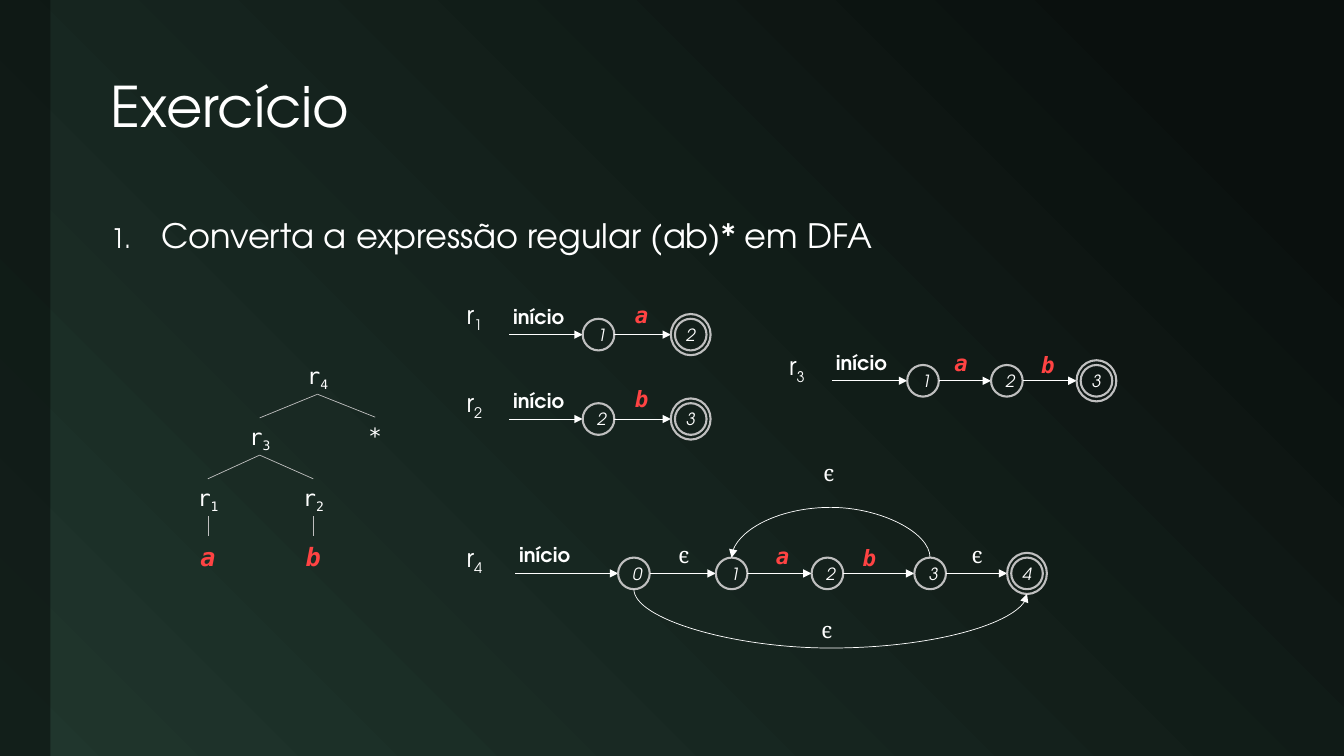
from lxml import etree
from pptx import Presentation
from pptx.dml.color import RGBColor
from pptx.enum.shapes import MSO_CONNECTOR, MSO_SHAPE
from pptx.enum.text import MSO_ANCHOR, MSO_AUTO_SIZE, PP_ALIGN
from pptx.oxml.ns import qn
from pptx.util import Pt

STRAIGHT, CURVE = MSO_CONNECTOR.STRAIGHT, MSO_CONNECTOR.CURVE
RECTANGLE, OVAL = MSO_SHAPE.RECTANGLE, MSO_SHAPE.OVAL
MIDDLE, CENTER = MSO_ANCHOR.MIDDLE, PP_ALIGN.CENTER
FIT_TEXT = MSO_AUTO_SIZE.SHAPE_TO_FIT_TEXT
SANS, MONO, SERIF = "TeX Gyre Adventor", "DejaVu Sans Mono", "Cambria"
WHITE, GRAY, RED, DARK, GREEN = "FFFFFF", "BFBFBF", "FF4343", "0A100E", "20362D"
RADIUS = 11.3
FINAL_WIDTH, FINAL_HEIGHT = 28.4, 29.4
TOP, BOTTOM = 0, 2


def color(hex_code):
    return RGBColor.from_string(hex_code)


def add_run(paragraph, text, size, font=SANS, ink=WHITE, bold=False, italic=False):
    run = paragraph.add_run()
    run.text = text
    run.font.size, run.font.name = Pt(size), font
    run.font.bold, run.font.italic = bold, italic
    run.font.color.rgb = color(ink)
    return run


def add_box(slide, left, top, width, height, wrap=True):
    box = slide.shapes.add_textbox(Pt(left), Pt(top), Pt(width), Pt(height))
    box.text_frame.word_wrap = wrap
    return box


def add_label(slide, text, left, top, width, height, size, subscript="", centered=False, **style):
    label = add_box(slide, left, top, width, height, wrap=centered)
    label.text_frame.auto_size = FIT_TEXT
    paragraph = label.text_frame.paragraphs[0]
    if centered:
        paragraph.alignment = CENTER
    add_run(paragraph, text, size, **style)
    if subscript:
        index = add_run(paragraph, subscript, size, **style)
        index.font._element.set("baseline", "-25000")
    return label


def add_symbol(slide, text, left, top):
    if text == "ϵ":
        style = {"font": SERIF}
    else:
        style = {"font": MONO, "ink": RED, "bold": True, "italic": True}
    add_label(slide, text, left, top, 22.7, 26.6, 16, **style)


def finish_line(connector, ink, arrow):
    connector.line.color.rgb = color(ink)
    connector.line.width = Pt(0.5)
    properties = connector._element.spPr
    if arrow:
        etree.SubElement(properties.find(qn("a:ln")), qn("a:tailEnd"), type="triangle")
    etree.SubElement(properties, qn("a:effectLst"))


def add_arrow(slide, start_x, end_x, y):
    arrow = slide.shapes.add_connector(STRAIGHT, Pt(start_x), Pt(y), Pt(end_x), Pt(y))
    finish_line(arrow, WHITE, arrow=True)


def add_arc(slide, start_x, start_y, end_x, end_y, drop):
    rise, span = max(end_y - start_y, 0.09), abs(end_x - start_x)
    left = (start_x + end_x - rise) / 2
    top = (start_y + end_y - span) / 2
    arc = slide.shapes.add_connector(CURVE, Pt(left), Pt(top), Pt(left + rise), Pt(top + span))
    frame = arc._element.spPr.find(qn("a:xfrm"))
    frame.set("rot", "16200000")
    frame.set("flipH", "1")
    if end_x < start_x:
        frame.set("flipV", "1")
    geometry = arc._element.spPr.find(qn("a:prstGeom"))
    adjustments = geometry.find(qn("a:avLst"))
    if adjustments is None:
        adjustments = etree.SubElement(geometry, qn("a:avLst"))
    bend = round(drop / rise * 100000)
    etree.SubElement(adjustments, qn("a:gd"), name="adj1", fmla=f"val {bend}")
    finish_line(arc, WHITE, arrow=True)


def add_ring(slide, center_x, center_y, width, height):
    ring = slide.shapes.add_shape(
        OVAL, Pt(center_x - width / 2), Pt(center_y - height / 2), Pt(width), Pt(height))
    ring.shadow.inherit = False
    ring.fill.background()
    ring.line.color.rgb = color(GRAY)
    ring.line.width = Pt(1.5)
    return ring


def add_state(slide, number, x, y, final):
    if final:
        add_ring(slide, x, y, FINAL_WIDTH, FINAL_HEIGHT)
    state = add_ring(slide, x, y, 2 * RADIUS, 2 * RADIUS)
    frame = state.text_frame
    frame.vertical_anchor = MIDDLE
    if final:
        frame.margin_left = frame.margin_right = frame.margin_top = frame.margin_bottom = 0
    frame.paragraphs[0].alignment = CENTER
    add_run(frame.paragraphs[0], number, 12, italic=True)


def add_automaton(slide, index, name_left, name_top, start_x, axis, states, symbols):
    add_label(slide, "r", name_left, name_top, 26.6, 28.8, 18, subscript=index)
    add_label(slide, "início", start_x - 4.2, axis - 25, 51.1, 24.5, 14, bold=True)
    tail = start_x
    for number, x in states:
        final = (number, x) == states[-1]
        add_arrow(slide, tail, x - (FINAL_WIDTH / 2 if final else RADIUS), axis)
        add_state(slide, number, x, axis, final)
        tail = x + RADIUS
    for text, left, top in symbols:
        add_symbol(slide, text, left, top)


def add_node(slide, text, subscript, center_x, top):
    return add_label(slide, text, center_x - 16, top, 32, 26.6, 16,
                     subscript=subscript, centered=True, font=MONO)


def add_leaf(slide, letter, center_x, top):
    return add_label(slide, letter, center_x - 13.3, top, 26.6, 28.8, 18,
                     centered=True, font=MONO, ink=RED, bold=True, italic=True)


def add_syntax_tree(slide):
    r4 = add_node(slide, "r", "4", 226.8, 255)
    r3 = add_node(slide, "r", "3", 185.5, 298.5)
    star = add_node(slide, "*", "", 268, 298)
    r1 = add_node(slide, "r", "1", 148.5, 342)
    r2 = add_node(slide, "r", "2", 223.8, 342)
    a = add_leaf(slide, "a", 148.5, 383)
    b = add_leaf(slide, "b", 223.8, 383)
    for parent, child in ((r4, r3), (r4, star), (r3, r1), (r3, r2), (r1, a), (r2, b)):
        branch = slide.shapes.add_connector(STRAIGHT, 0, 0, 0, 0)
        branch.begin_connect(parent, BOTTOM)
        branch.end_connect(child, TOP)
        finish_line(branch, GRAY, arrow=False)


def add_backdrop(slide):
    fill = slide.background.fill
    fill.gradient()
    fill.gradient_angle = 225
    for stop, ink, position in zip(fill.gradient_stops, (DARK, GREEN), (0.1, 1)):
        stop.color.rgb = color(ink)
        stop.position = position
    sidebar = slide.shapes.add_shape(RECTANGLE, 0, 0, Pt(36), Pt(540))
    sidebar.shadow.inherit = False
    sidebar.line.fill.background()
    sidebar.fill.solid()
    sidebar.fill.fore_color.rgb = color(DARK)
    tint = sidebar._element.spPr.find(qn("a:solidFill"))[0]
    etree.SubElement(tint, qn("a:alpha"), val="60000")


def add_heading(slide):
    title = add_box(slide, 72, 30, 839, 96).text_frame
    title.vertical_anchor = MIDDLE
    title.paragraphs[0].line_spacing = 0.9
    add_run(title.paragraphs[0], "Exercício", 40)

    task = add_box(slide, 72, 144, 839, 348).text_frame.paragraphs[0]
    numbering = task._p.get_or_add_pPr()
    numbering.set("marL", str(Pt(36)))
    numbering.set("indent", str(Pt(-36)))
    etree.SubElement(numbering, qn("a:buSzPct"), val="80000")
    etree.SubElement(numbering, qn("a:buAutoNum"), type="arabicPeriod")
    task.line_spacing = 1.2
    add_run(task, "Converta a expressão regular (ab)* em DFA", 24)


def main():
    deck = Presentation()
    deck.slide_width, deck.slide_height = Pt(960), Pt(540)
    slide = deck.slides.add_slide(deck.slide_layouts[6])
    add_backdrop(slide)
    add_heading(slide)
    add_syntax_tree(slide)
    add_automaton(slide, "1", 326.2, 210.2, 363.6, 239,
                  [("1", 427.5), ("2", 493.4)], [("a", 446.4, 211.7)])
    add_automaton(slide, "2", 326.2, 272.9, 363.6, 299.3,
                  [("2", 427.5), ("3", 493.4)], [("b", 446.4, 271.4)])
    add_automaton(slide, "3", 556.6, 247, 594.2, 272,
                  [("1", 659.3), ("2", 719.2), ("3", 783.2)],
                  [("a", 674.6, 246.2), ("b", 736.6, 247)])
    axis = 409.6
    add_automaton(slide, "4", 326.2, 383.8, 367.9, axis,
                  [("0", 452.8), ("1", 522.6), ("2", 591), ("3", 664.4), ("4", 733.6)],
                  [("ϵ", 477.4, 383), ("a", 547.2, 383.8), ("b", 609.1, 385.2),
                   ("ϵ", 686.9, 383), ("ϵ", 581, 324.7), ("ϵ", 579.6, 436.3)])
    add_arc(slide, 664.4, axis - RADIUS, 522.6, axis - RADIUS, -38)
    add_arc(slide, 452.8, axis + RADIUS, 733.6, axis + FINAL_HEIGHT / 2, 42)
    deck.save("out.pptx")


if __name__ == "__main__":
    main()
